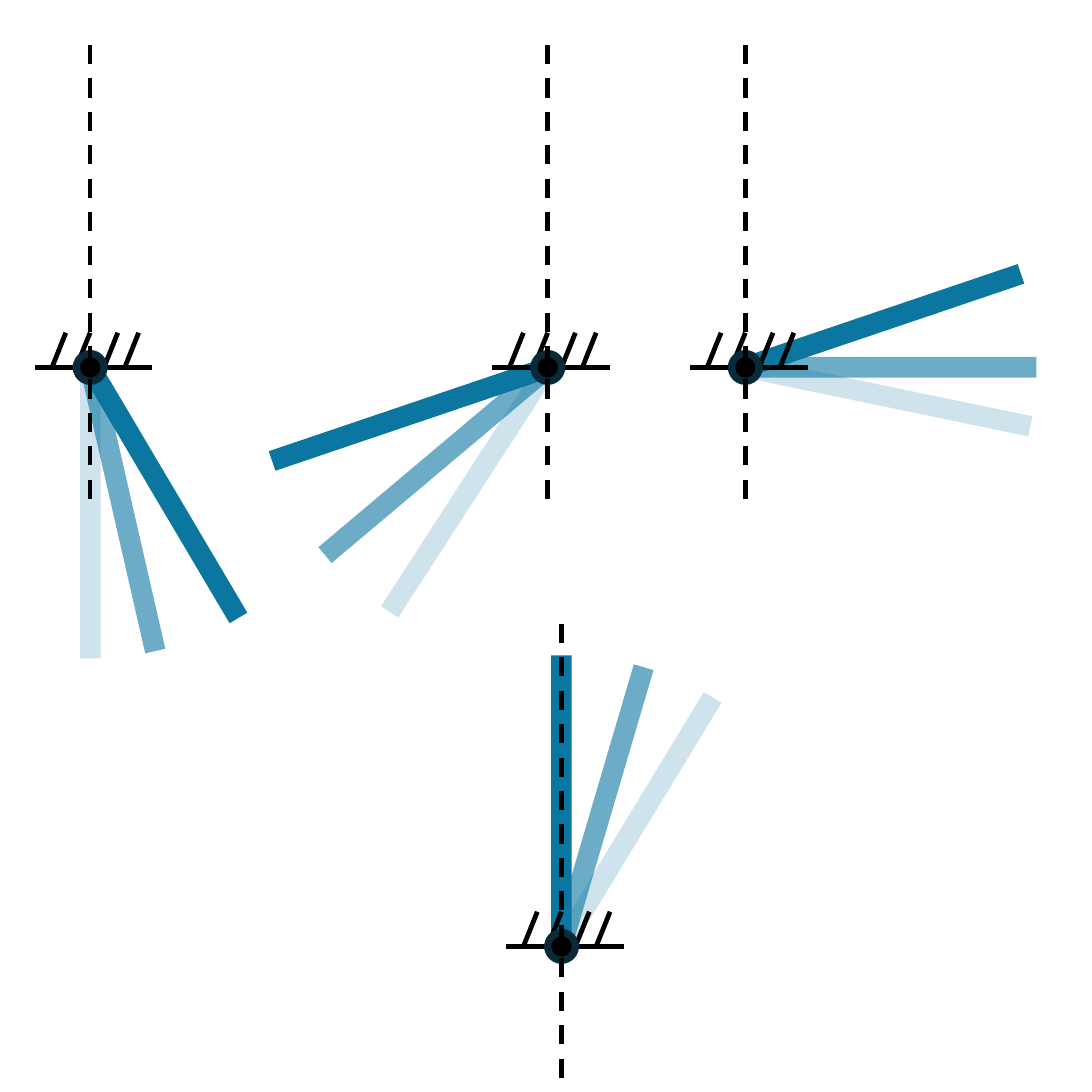
from dataclasses import dataclass
from math import cos, radians, sin

from lxml.etree import SubElement
from pptx import Presentation
from pptx.dml.color import RGBColor
from pptx.enum.dml import MSO_LINE
from pptx.enum.shapes import MSO_CONNECTOR, MSO_SHAPE
from pptx.oxml.ns import qn
from pptx.util import Inches, Pt

# Content: pivot position and rod angles in degrees, clockwise from the right,
# listed from the solid rod to the faintest one
PENDULUMS = [
    {"pivot": (0.26, 1.06), "angles": (59.4, 77.1, 90)},
    {"pivot": (1.58, 1.06), "angles": (161.3, 139.9, 122.9)},
    {"pivot": (2.15, 1.06), "angles": (-18.7, 0, 11.7)},
    {"pivot": (1.62, 2.73), "angles": (-90, -73.6, -58.7)},
]
ROD_OPACITIES = (100, 60, 20)

# Dimensions in inches, offsets measured from the pivot
SLIDE_SIDE = 3.15
ROD_LENGTH, ROD_THICKNESS = 0.84, 0.06
BAR_LEFT, BAR_RIGHT = -0.16, 0.18
HATCH_STARTS = (-0.11, -0.04, 0.04, 0.1)
HATCH_LEAN, HATCH_HEIGHT = 0.04, 0.1
JOINT_DIAMETER = 0.08
AXIS_TOP, AXIS_BOTTOM = -0.93, 0.4


@dataclass(frozen=True)
class Theme:
    rod = RGBColor(0x0B, 0x76, 0xA0)
    ink = RGBColor(0x00, 0x00, 0x00)
    joint_edge = RGBColor(0x09, 0x2A, 0x39)
    line_width = Pt(1)
    joint_width = Pt(1.5)


def add_rod(slide, pivot, angle, opacity):
    """Add a rod with one end on the pivot."""
    center_x = pivot[0] + ROD_LENGTH / 2 * cos(radians(angle))
    center_y = pivot[1] + ROD_LENGTH / 2 * sin(radians(angle))
    rod = slide.shapes.add_shape(
        MSO_SHAPE.RECTANGLE,
        Inches(center_x - ROD_LENGTH / 2), Inches(center_y - ROD_THICKNESS / 2),
        Inches(ROD_LENGTH), Inches(ROD_THICKNESS),
    )
    rod.rotation = angle
    rod.shadow.inherit = False
    rod.line.fill.background()
    rod.fill.solid()
    rod.fill.fore_color.rgb = Theme.rod
    if opacity < 100:
        color = rod._element.spPr.find(qn("a:solidFill")).find(qn("a:srgbClr"))
        SubElement(color, qn("a:alpha")).set("val", str(opacity * 1000))


def add_line(group, pivot, start, end):
    """Add a line between two offsets from the pivot."""
    line = group.shapes.add_connector(
        MSO_CONNECTOR.STRAIGHT,
        Inches(pivot[0] + start[0]), Inches(pivot[1] + start[1]),
        Inches(pivot[0] + end[0]), Inches(pivot[1] + end[1]),
    )
    line.line.color.rgb = Theme.ink
    line.line.width = Theme.line_width
    SubElement(line._element.spPr, qn("a:effectLst"))
    return line


def add_support(slide, pivot):
    """Add the hatched bar, the joint and the dashed axis."""
    group = slide.shapes.add_group_shape()
    add_line(group, pivot, (BAR_LEFT, 0), (BAR_RIGHT, 0))
    for start in HATCH_STARTS:
        add_line(group, pivot, (start, 0), (start + HATCH_LEAN, -HATCH_HEIGHT))

    # Joint
    joint = group.shapes.add_shape(
        MSO_SHAPE.OVAL,
        Inches(pivot[0] - JOINT_DIAMETER / 2), Inches(pivot[1] - JOINT_DIAMETER / 2),
        Inches(JOINT_DIAMETER), Inches(JOINT_DIAMETER),
    )
    joint.shadow.inherit = False
    joint.fill.solid()
    joint.fill.fore_color.rgb = Theme.ink
    joint.line.color.rgb = Theme.joint_edge
    joint.line.width = Theme.joint_width

    # Vertical reference axis
    axis = add_line(group, pivot, (0, AXIS_TOP), (0, AXIS_BOTTOM))
    axis.line.dash_style = MSO_LINE.DASH


def main():
    presentation = Presentation()
    presentation.slide_width = presentation.slide_height = Inches(SLIDE_SIDE)
    slide = presentation.slides.add_slide(presentation.slide_layouts[6])
    for pendulum in PENDULUMS:
        for angle, opacity in zip(pendulum["angles"], ROD_OPACITIES):
            add_rod(slide, pendulum["pivot"], angle, opacity)
        add_support(slide, pendulum["pivot"])
    presentation.save("out.pptx")


if __name__ == "__main__":
    main()
